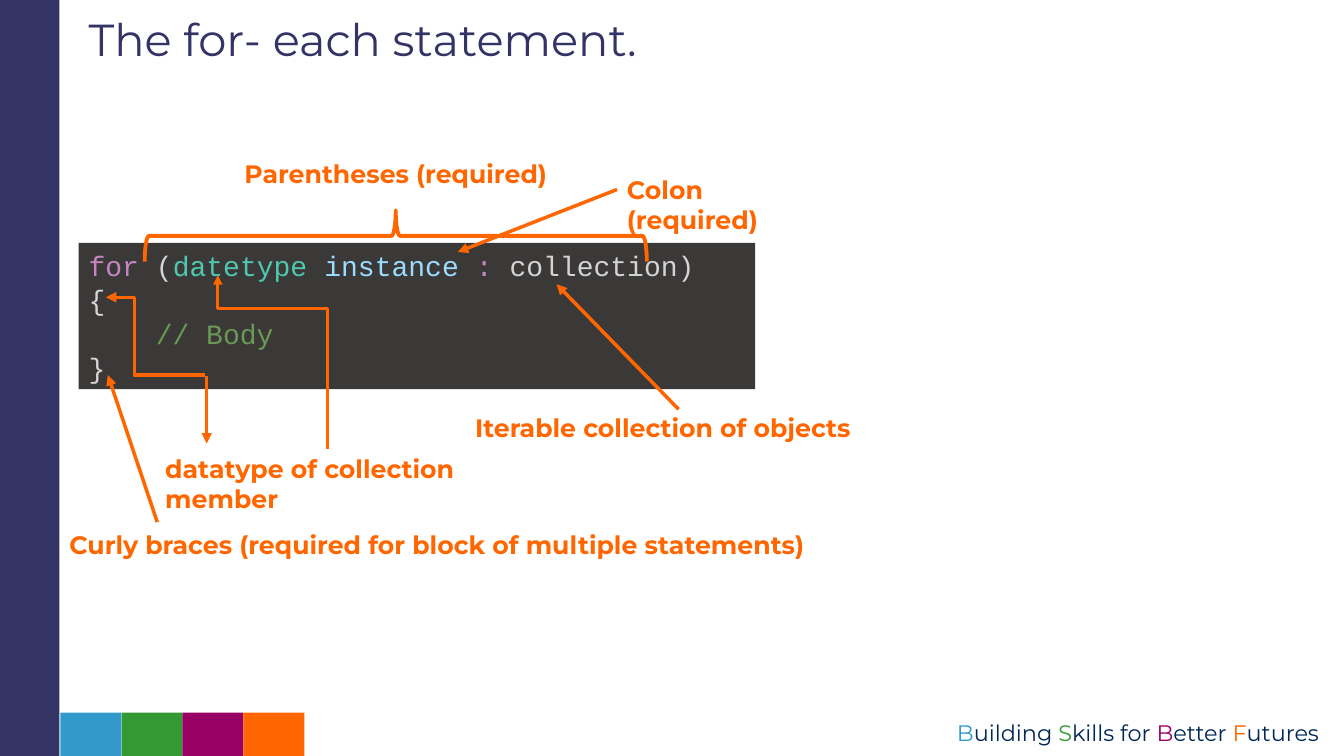
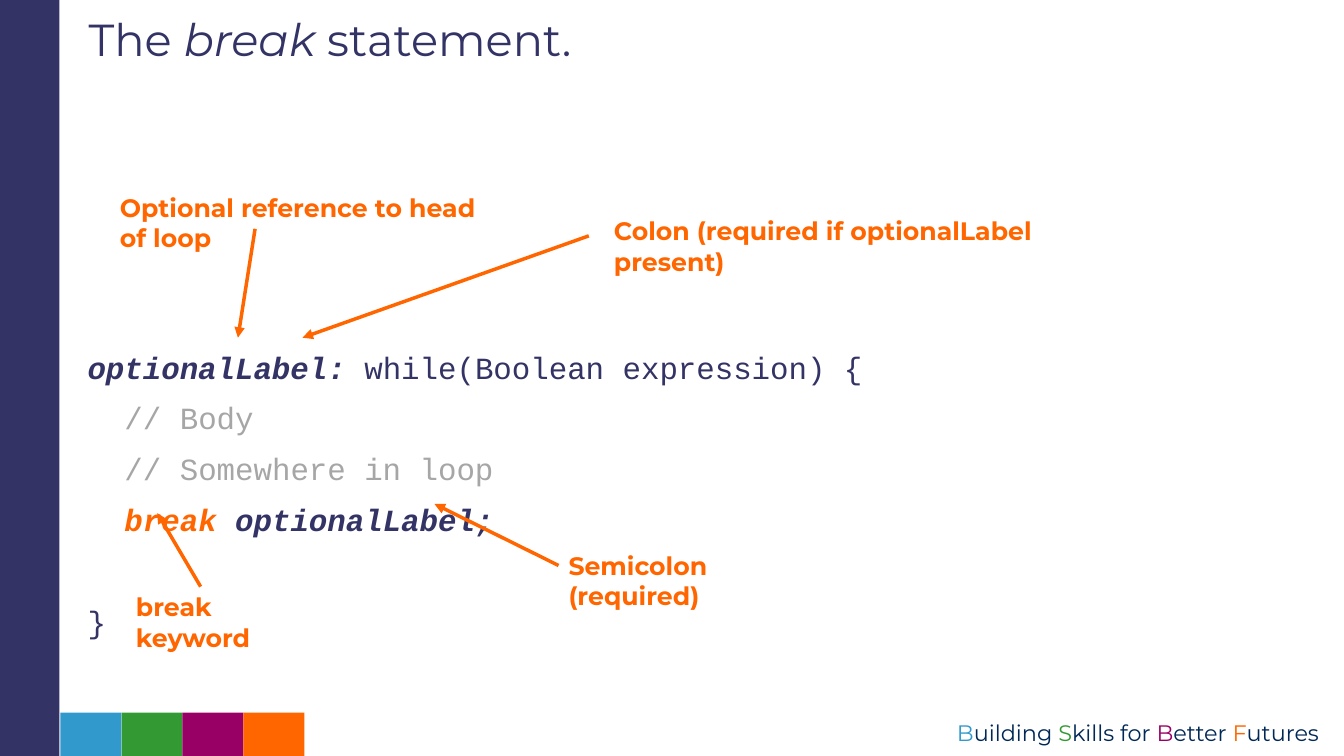
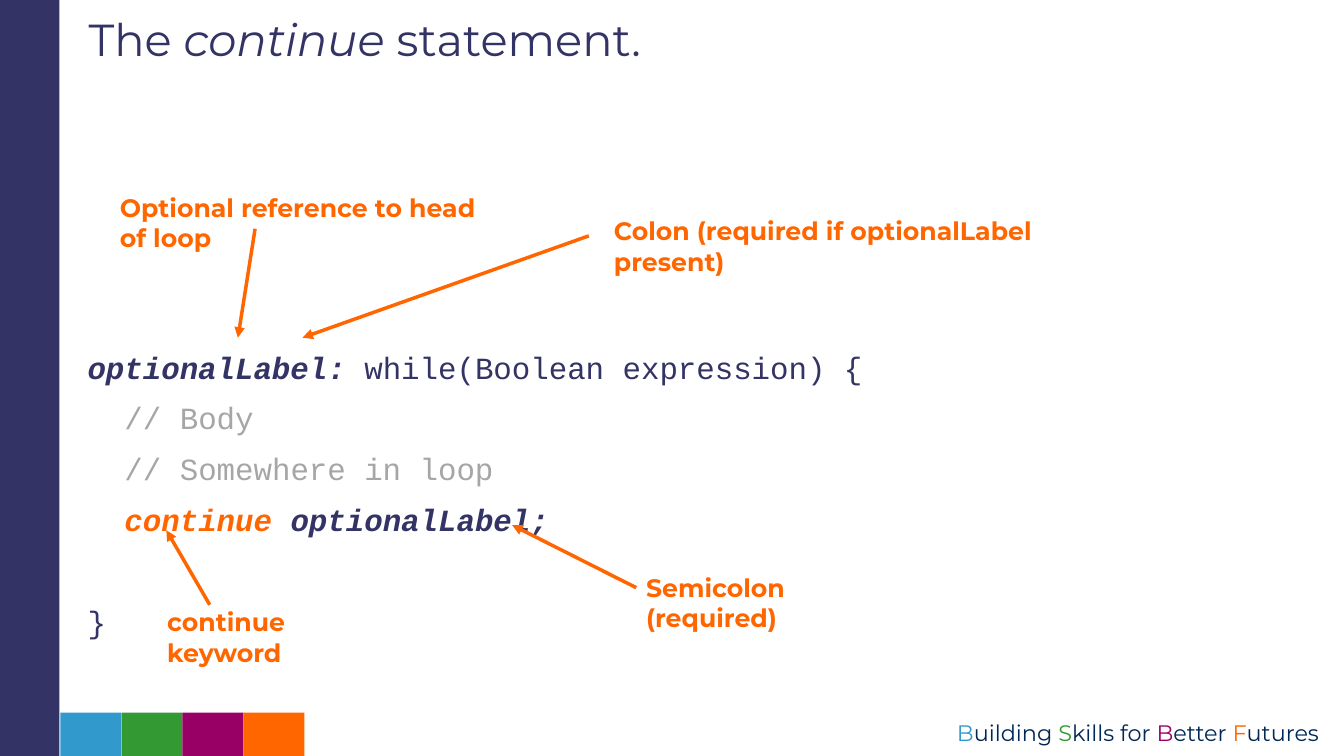
import dataclasses

import pptx
import pptx.dml.color
import pptx.enum.shapes
import pptx.enum.text
import pptx.oxml.ns
import pptx.util
from lxml import etree

Inches = pptx.util.Inches
Pt = pptx.util.Pt
Shape = pptx.enum.shapes.MSO_SHAPE
Connector = pptx.enum.shapes.MSO_CONNECTOR
Align = pptx.enum.text.PP_ALIGN
qn = pptx.oxml.ns.qn


@dataclasses.dataclass(frozen=True)
class Theme:
    navy: str = "333366"
    blue: str = "3299CC"
    green: str = "339933"
    plum: str = "990066"
    orange: str = "FF6600"
    ink: str = "002856"
    comment: str = "A6A6A6"
    editor: str = "3B3838"
    editor_keyword: str = "C586C0"
    editor_plain: str = "D4D4D4"
    editor_type: str = "4EC9B0"
    editor_name: str = "9CDCFE"
    editor_comment: str = "6A9955"
    sans: str = "Montserrat"
    mono: str = "Courier New"
    title_size: float = 32
    listing_size: float = 22
    editor_size: float = 20
    note_size: float = 18
    footer_size: float = 16
    listing_pitch: float = 36.3
    editor_pitch: float = 24.3


def rgb(color):
    return pptx.dml.color.RGBColor.from_string(color)


def add_run(paragraph, text, font, size, color, bold=False, italic=False):
    run = paragraph.add_run()
    run.text = text
    run.font.name = font
    run.font.size = Pt(size)
    run.font.color.rgb = rgb(color)
    run.font.bold = bold
    run.font.italic = italic


class Deck:
    def __init__(self, theme):
        self.theme = theme
        self.file = pptx.Presentation()
        self.file.slide_width = Inches(13.33)
        self.file.slide_height = Inches(7.5)
        self.slide = None

    def new_slide(self, *title):
        t = self.theme
        self.slide = self.file.slides.add_slide(self.file.slide_layouts[6])
        self.block(0, 0, 0.59, 7.5, t.navy)
        accents = (t.blue, t.green, t.plum, t.orange)
        side = 2.42 / len(accents)
        for i, accent in enumerate(accents):
            self.block(0.6 + i * side, 7.07, side, 0.43, accent)
        slogan = self.text_box(8.36, 7.09, 4.82, 0.37).paragraphs[0]
        slogan.alignment = Align.RIGHT
        for accent, word in zip(accents, ("Building ", "Skills for ", "Better ", "Futures")):
            add_run(slogan, word[0], t.sans, t.footer_size, accent)
            add_run(slogan, word[1:], t.sans, t.footer_size, t.ink)
        heading = self.text_box(0.78, 0.13, 10.35, 0.63).paragraphs[0]
        heading.line_spacing = 0.9
        for text, italic in title:
            add_run(heading, text, t.sans, t.title_size, t.navy, italic=italic)

    def block(self, left, top, width, height, color):
        block = self.slide.shapes.add_shape(
            Shape.RECTANGLE, Inches(left), Inches(top), Inches(width), Inches(height))
        block.shadow.inherit = False
        block.fill.solid()
        block.fill.fore_color.rgb = rgb(color)
        block.line.fill.background()
        return block

    def text_box(self, left, top, width, height):
        box = self.slide.shapes.add_textbox(
            Inches(left), Inches(top), Inches(width), Inches(height))
        box.text_frame.word_wrap = True
        return box.text_frame

    def note(self, text, left, top, width, align=Align.LEFT):
        t = self.theme
        box = self.slide.shapes.add_textbox(
            Inches(left), Inches(top), Inches(width), Inches(0.4))
        box.text_frame.word_wrap = True
        paragraph = box.text_frame.paragraphs[0]
        paragraph.alignment = align
        add_run(paragraph, text, t.sans, t.note_size, t.orange, bold=True)
        return box

    def code(self, frame, lines, size, pitch):
        for i, (indent, runs) in enumerate(lines):
            paragraph = frame.add_paragraph() if i else frame.paragraphs[0]
            paragraph.alignment = Align.LEFT
            paragraph.line_spacing = Pt(pitch)
            if indent:
                properties = paragraph._p.get_or_add_pPr()
                properties.set("marL", str(Pt(indent * size * 0.6)))
                properties.set("indent", "0")
            for text, color, strong in runs:
                add_run(paragraph, text, self.theme.mono, size, color,
                        bold=strong, italic=strong)
        return paragraph

    def brace(self, left, top, width, height):
        brace = self.slide.shapes.add_shape(
            Shape.RIGHT_BRACE, Inches(left), Inches(top), Inches(width), Inches(height))
        brace.rotation = 270
        brace.shadow.inherit = False
        brace.fill.background()
        brace.line.color.rgb = rgb(self.theme.orange)
        brace.line.width = Pt(2.75)

    def connector(self, kind, start, end, width=2.5, arrow="tailEnd"):
        line = self.slide.shapes.add_connector(kind, *map(Inches, (*start, *end)))
        line.line.color.rgb = rgb(self.theme.orange)
        line.line.width = Pt(width)
        etree.SubElement(line.line._get_or_add_ln(), qn("a:" + arrow), type="triangle")
        etree.SubElement(line._element.spPr, qn("a:effectLst"))
        return line

    def arrow(self, start, end, source=None):
        line = self.connector(Connector.STRAIGHT, start, end)
        if source is not None:
            line.begin_connect(source, 1)

    def elbow(self, start, end, bend, upright=False, **style):
        if upright:
            (x1, y1), (x2, y2) = start, end
            mid_x, mid_y = (x1 + x2) / 2, (y1 + y2) / 2
            half_x, half_y = (x2 - x1) / 2, (y2 - y1) / 2
            start = (mid_x + half_y, mid_y - half_x)
            end = (mid_x - half_y, mid_y + half_x)
        line = self.connector(Connector.ELBOW, start, end, **style)
        properties = line._element.spPr
        if upright:
            properties.find(qn("a:xfrm")).set("rot", "16200000")
        guides = properties.find(qn("a:prstGeom")).find(qn("a:avLst"))
        etree.SubElement(guides, qn("a:gd"), name="adj1", fmla=f"val {round(bend * 100000)}")


def for_each_slide(deck):
    t = deck.theme
    deck.new_slide(("The for- each statement.", False))
    editor = deck.block(0.78, 2.41, 6.71, 1.45, t.editor).text_frame
    editor.word_wrap = True
    editor.vertical_anchor = pptx.enum.text.MSO_ANCHOR.TOP
    deck.code(editor, [
        (0, [("for", t.editor_keyword, False), (" (", t.editor_plain, False),
             ("datetype ", t.editor_type, False), ("instance ", t.editor_name, False),
             (":", t.editor_keyword, False), (" collection)", t.editor_plain, False)]),
        (0, [("{", t.editor_plain, False)]),
        (4, [("// Body", t.editor_comment, False)]),
        (0, [("}", t.editor_plain, False)]),
    ], t.editor_size, t.editor_pitch)
    deck.note("Parentheses (required)", 2.03, 1.52, 3.79, Align.CENTER)
    colon = deck.note("Colon (required)", 6.12, 1.68, 1.91)
    deck.brace(3.67, -0.15, 0.51, 4.98)
    deck.note("Curly braces (required for block of multiple statements)", 0.59, 5.2, 7.76)
    deck.arrow((1.56, 5.18), (1.07, 3.72))
    deck.arrow((6.12, 1.88), (4.54, 2.5), colon)
    deck.note("Iterable collection of objects", 4.55, 4.04, 4.05, Align.CENTER)
    deck.note("datatype of collection member", 1.54, 4.45, 3.42)
    deck.elbow((2.16, 2.73), (3.25, 4.45), 0.19, upright=True, width=2.25, arrow="headEnd")
    deck.arrow((6.73, 4.06), (5.52, 2.82))
    deck.elbow((2.03, 3.72), (1.05, 2.95), 0.71)
    deck.arrow((2.05, 3.73), (2.05, 4.4))


def jump_slide(deck, keyword, keyword_at, keyword_width, keyword_arrow,
               semicolon_at, semicolon_tip):
    t = deck.theme
    deck.new_slide(("The ", False), (keyword, True), (" statement.", False))
    listing = deck.text_box(0.77, 3.27, 11.5, 3.36)
    closing = deck.code(listing, [
        (0, [("optionalLabel:", t.navy, True),
             (" while(Boolean expression) {", t.navy, False)]),
        (2, [("// Body", t.comment, False)]),
        (2, [("// Somewhere in loop", t.comment, False)]),
        (2, [(keyword + " ", t.orange, True), ("optionalLabel;", t.navy, True)]),
        (0, [("}", t.navy, False)]),
    ], t.listing_size, t.listing_pitch)
    closing.space_before = Pt(t.listing_pitch)
    deck.note("Optional reference to head of loop", 1.09, 1.86, 3.82)
    deck.arrow((2.53, 2.27), (2.36, 3.35))
    deck.note("Colon (required if optionalLabel present)", 5.99, 2.09, 4.45)
    deck.arrow((5.84, 2.34), (3, 3.35))
    deck.note(keyword + " keyword", *keyword_at, keyword_width)
    deck.arrow(*keyword_arrow)
    semicolon = deck.note("Semicolon (required)", *semicolon_at, 2.39)
    deck.arrow(semicolon_at, semicolon_tip, semicolon)


def main():
    deck = Deck(Theme())
    for_each_slide(deck)
    jump_slide(deck, "break", (1.25, 5.82), 1.75, ((1.99, 5.82), (1.56, 5.09)),
               (5.54, 5.41), (4.31, 5))
    jump_slide(deck, "continue", (1.56, 5.97), 2.08, ((2.08, 6), (1.65, 5.26)),
               (6.31, 5.63), (5.08, 5.21))
    deck.file.save("out.pptx")


if __name__ == "__main__":
    main()
